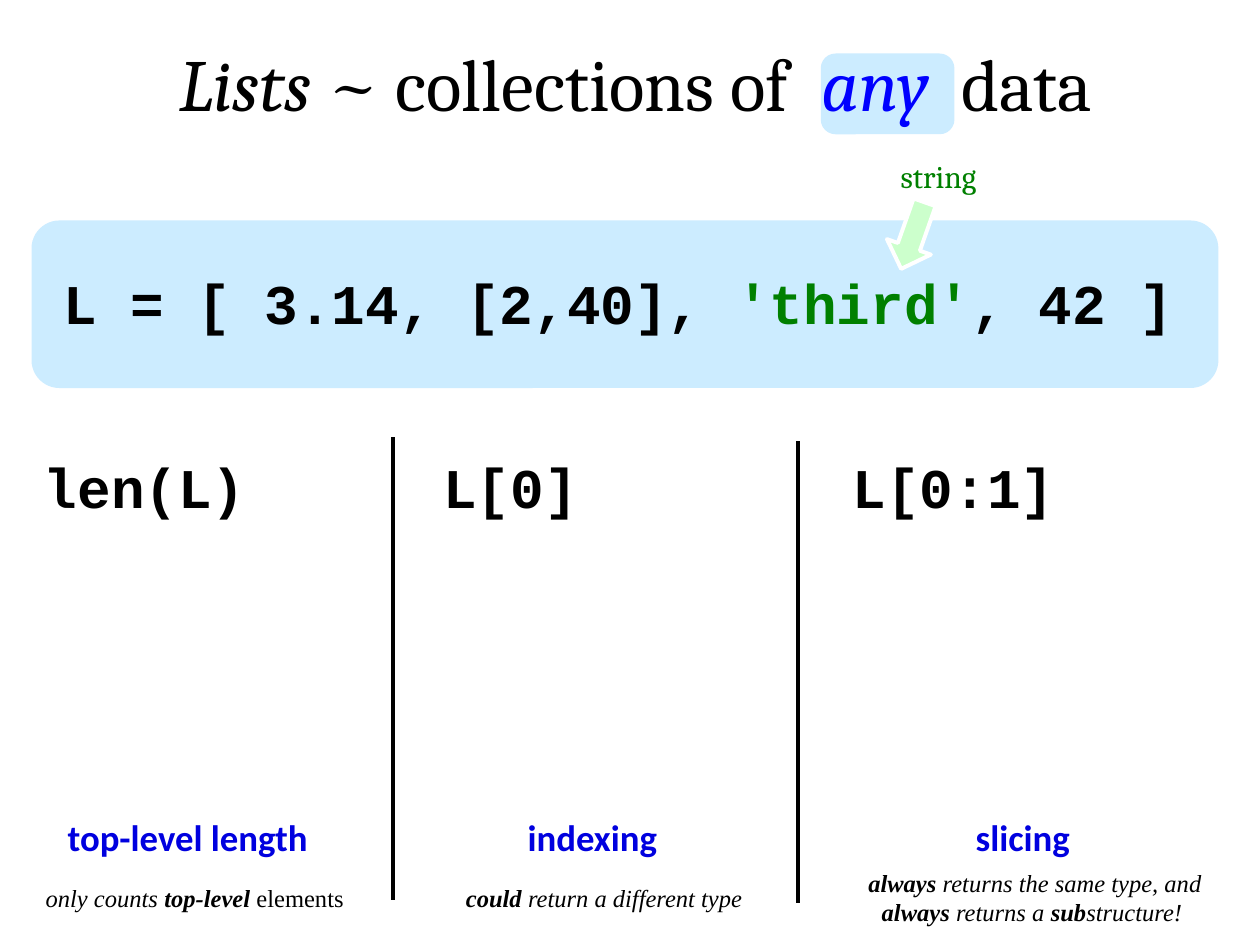
import pptx
import pptx.dml.color
import pptx.enum.shapes
import pptx.enum.text
import pptx.util
from lxml import etree

Inches = pptx.util.Inches
SHAPE = pptx.enum.shapes.MSO_SHAPE
ALIGN = pptx.enum.text.PP_ALIGN

COLORS = {
    "black": "000000",
    "white": "FFFFFF",
    "panel": "CCECFF",
    "any": "0000FF",
    "heading": "0000DF",
    "string": "008000",
    "arrow": "CCFFCC",
}

TITLE = {"name": "Cambria", "size": 42}
CODE = {"name": "Courier New", "size": 32, "bold": True}
HEADING = {"name": "Calibri", "size": 21, "bold": True, "color": "heading"}
NOTE = {"name": "Times New Roman", "size": 14, "italic": True}
LABEL = {"name": "Cambria", "size": 18, "color": "string"}
STRONG = {"bold": True}

# Each box is left, top, width, height in inches.
COLUMNS = [
    {
        "code": ("len(L)", 0.25),
        "heading": ("top-level length", (0.43, 6.42, 2.12, 0.45)),
        "note": ([("only counts ", {}), ("top-level ", STRONG),
                  ("elements", {"italic": False})],
                 (0.17, 6.96, 2.75, 0.34)),
    },
    {
        "code": ("L[0]", 3.42),
        "heading": ("indexing ", (4.08, 6.42, 1.31, 0.45)),
        "note": ([("could ", STRONG), ("return a different type", {})],
                 (3.42, 6.96, 2.75, 0.34)),
    },
    {
        "code": ("L[0:1]", 6.67),
        "heading": ("slicing ", (7.64, 6.42, 1.02, 0.45)),
        "note": ([("always ", STRONG), ("returns the same type, and ", {}),
                  ("always ", STRONG), ("returns a ", {}),
                  ("sub", STRONG), ("structure! ", {})],
                 (6.68, 6.84, 3.07, 0.57)),
    },
]
DIVIDERS = [(3.12, 3.47), (6.33, 3.5)]
DIVIDER_HEIGHT = 3.67


def rgb(color):
    return pptx.dml.color.RGBColor.from_string(COLORS[color])


def write_runs(frame, runs, style, align, wrap=True):
    """Fill a text frame with (text, overrides) runs sharing one base style."""
    frame.word_wrap = wrap
    frame.auto_size = pptx.enum.text.MSO_AUTO_SIZE.NONE
    frame.vertical_anchor = pptx.enum.text.MSO_ANCHOR.TOP
    paragraph = frame.paragraphs[0]
    paragraph.alignment = align
    for text, overrides in runs:
        run = paragraph.add_run()
        run.text = text
        values = {"color": "black", **style, **overrides}
        run.font.color.rgb = rgb(values.pop("color"))
        values["size"] = pptx.util.Pt(values["size"])
        for attribute, value in values.items():
            setattr(run.font, attribute, value)


def add_text(slide, box, runs, style, align=ALIGN.CENTER, wrap=True):
    textbox = slide.shapes.add_textbox(*map(Inches, box))
    write_runs(textbox.text_frame, runs, style, align, wrap)


def add_filled_shape(slide, kind, box, fill, line=None, rotation=0):
    shape = slide.shapes.add_shape(kind, *map(Inches, box))
    shape.shadow.inherit = False
    shape.rotation = rotation
    shape.fill.solid()
    shape.fill.fore_color.rgb = rgb(fill)
    if line:
        shape.line.color.rgb = rgb(line)
        shape.line.width = pptx.util.Pt(2.25)
    else:
        shape.line.fill.background()


def add_divider(slide, x, top):
    divider = slide.shapes.add_connector(
        pptx.enum.shapes.MSO_CONNECTOR.STRAIGHT,
        Inches(x), Inches(top), Inches(x), Inches(top + DIVIDER_HEIGHT))
    divider.line.color.rgb = rgb("black")
    divider.line.width = pptx.util.Pt(2.25)
    etree.SubElement(divider._element.spPr, pptx.oxml.ns.qn("a:effectLst"))


def add_title(slide):
    title = slide.shapes.title
    box = {"left": 1.17, "top": 0.25, "width": 7.75, "height": 0.81}
    for attribute, value in box.items():
        setattr(title, attribute, Inches(value))
    write_runs(title.text_frame,
               [("Lists ", {"italic": True}), ("~ collections of  ", {}),
                ("any  ", {"italic": True, "color": "any"}), ("data", {})],
               TITLE, ALIGN.CENTER)
    # The title must lie in front of the highlight behind "any".
    slide.shapes._spTree.append(title._element)


def add_column(slide, column):
    code, left = column["code"]
    add_text(slide, (left, 3.54, 1.86, 0.63), [(code, {})], CODE, ALIGN.LEFT)
    heading, heading_box = column["heading"]
    add_text(slide, heading_box, [(heading, {})], HEADING, wrap=False)
    note, note_box = column["note"]
    add_text(slide, note_box, note, NOTE)


def main():
    deck = pptx.Presentation()
    deck.slide_width, deck.slide_height = Inches(10), Inches(7.5)
    slide = deck.slides.add_slide(deck.slide_layouts[5])

    add_filled_shape(slide, SHAPE.ROUNDED_RECTANGLE,
                     (6.53, 0.44, 1.03, 0.61), "panel", "panel")
    add_filled_shape(slide, SHAPE.ROUNDED_RECTANGLE,
                     (0.25, 1.75, 9.42, 1.33), "panel")
    add_title(slide)
    add_text(slide, (0.25, 2.08, 9.58, 0.63),
             [("L = [ 3.14, [2,40], ", {}), ("'third'", {"color": "string"}),
              (", 42 ] ", {})], CODE)

    for column in COLUMNS:
        add_column(slide, column)
    for x, top in DIVIDERS:
        add_divider(slide, x, top)

    add_filled_shape(slide, SHAPE.DOWN_ARROW, (7.06, 1.59, 0.37, 0.56),
                     "arrow", "white", rotation=19.4)
    add_text(slide, (7.05, 1.2, 0.84, 0.4), [("string", {})], LABEL,
             ALIGN.LEFT, wrap=False)
    deck.save("out.pptx")


if __name__ == "__main__":
    main()
